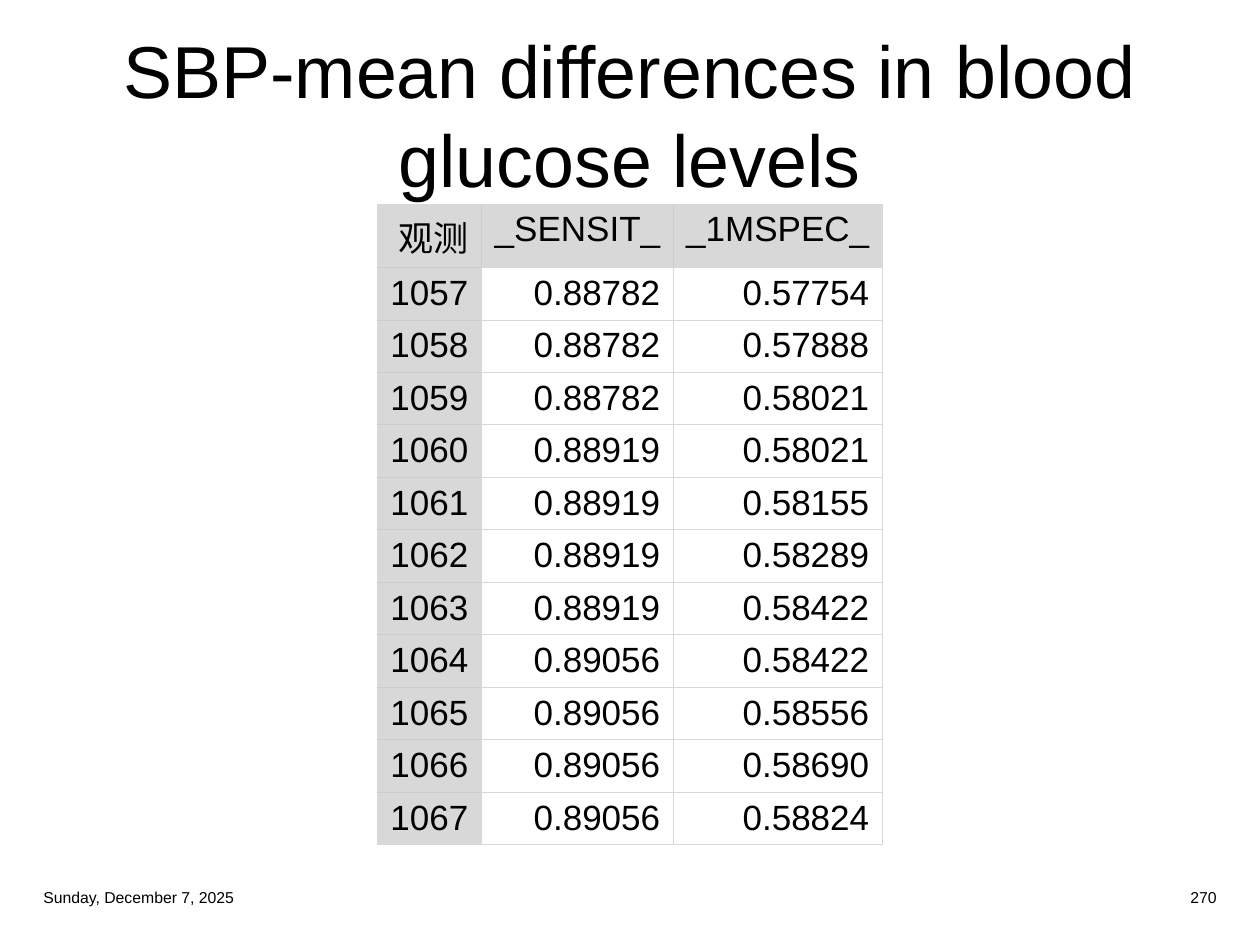
from lxml import etree
from pptx import Presentation
from pptx.dml.color import RGBColor
from pptx.enum.text import MSO_ANCHOR, MSO_AUTO_SIZE, PP_ALIGN
from pptx.oxml.ns import qn
from pptx.util import Emu, Pt

LEFT, CENTER, RIGHT = PP_ALIGN.LEFT, PP_ALIGN.CENTER, PP_ALIGN.RIGHT
MIDDLE, TOP = MSO_ANCHOR.MIDDLE, MSO_ANCHOR.TOP
NO_AUTOFIT = MSO_AUTO_SIZE.NONE
EMU_PER_PX = 914400 / 126
TITLE_ONLY = 5
COLORS = {"text": "000000", "label": "D8D8D8", "value": "FFFFFF",
          "outer": "D8D8D8", "inner": "CCCCCC"}
COLUMN_WIDTHS = [104, 192, 209]
HEADINGS = ["观测", "_SENSIT_", "_1MSPEC_"]
FIRST_OBSERVATION = 1057
SENSITIVITIES = ["0.88782"] * 3 + ["0.88919"] * 4 + ["0.89056"] * 4
SPECIFICITIES = ["0.57754", "0.57888", "0.58021", "0.58021", "0.58155", "0.58289",
                 "0.58422", "0.58422", "0.58556", "0.58690", "0.58824"]


def px(length):
    """Convert pixels to EMU."""
    return Emu(round(length * EMU_PER_PX))


def color(key):
    """Return the named color."""
    return RGBColor.from_string(COLORS[key])


def write(frame, text, size, align):
    """Fill a text frame with one formatted paragraph."""
    frame.text = text
    paragraph = frame.paragraphs[0]
    paragraph.alignment = align
    paragraph.font.size = Pt(size)
    paragraph.font.name = "Arial"
    paragraph.font.color.rgb = color("text")


def add_title(slide, box, text):
    """Place the title placeholder in its box."""
    title = slide.shapes.title
    title.left, title.top, title.width, title.height = map(px, box)
    title.text_frame.word_wrap = True
    title.text_frame.auto_size = NO_AUTOFIT
    title.text_frame.vertical_anchor = MIDDLE
    write(title.text_frame, text, 42, CENTER)


def set_borders(cell, edges):
    """Draw half-point cell borders, given as a color key per edge tag."""
    properties = cell._tc.get_or_add_tcPr()
    for position, (tag, key) in enumerate(edges.items()):
        line = etree.Element(qn(f"a:{tag}"), w=str(Pt(0.5)))
        fill = etree.SubElement(line, qn("a:solidFill"))
        etree.SubElement(fill, qn("a:srgbClr"), val=COLORS[key])
        properties.insert(position, line)


def add_observations(slide, box):
    """Place the observation table, with shaded headings and labels."""
    rows = [HEADINGS] + [
        [str(FIRST_OBSERVATION + index), *pair]
        for index, pair in enumerate(zip(SENSITIVITIES, SPECIFICITIES))]
    last_row, last_column = len(rows) - 1, len(HEADINGS) - 1
    table = slide.shapes.add_table(len(rows), len(HEADINGS), *map(px, box)).table
    table.first_row = table.horz_banding = False
    for column, width in zip(table.columns, COLUMN_WIDTHS):
        column.width = px(width)
    for r, values in enumerate(rows):
        table.rows[r].height = px(box[3] / len(rows))
        for c, value in enumerate(values):
            cell = table.cell(r, c)
            is_label = r == 0 or c == 0
            cell.fill.solid()
            cell.fill.fore_color.rgb = color("label" if is_label else "value")
            cell.vertical_anchor = TOP
            write(cell.text_frame, value, 20, RIGHT)
            at_edge = {"lnL": c == 0, "lnR": c == last_column,
                       "lnT": r == 0, "lnB": r == last_row}
            set_borders(cell, {
                tag: "inner" if is_label and not outside else "outer"
                for tag, outside in at_edge.items()})


def add_footer(slide, box, date, number):
    """Place the date and the slide number at the two ends of a strip."""
    left, top, width, height = box
    part_width = 300
    for x, text, align in ((left, date, LEFT),
                           (left + width - part_width, number, RIGHT)):
        part = slide.shapes.add_textbox(px(x), px(top), px(part_width), px(height))
        part.text_frame.word_wrap = True
        part.text_frame.vertical_anchor = MIDDLE
        write(part.text_frame, text, 9, align)


def main():
    """Build and save the slide."""
    presentation = Presentation()
    presentation.slide_width, presentation.slide_height = px(1260), px(945)
    slide = presentation.slides.add_slide(presentation.slide_layouts[TITLE_ONLY])
    add_title(slide, (31, 31, 1197, 165),
              "SBP-mean differences in blood\vglucose levels")
    add_observations(slide, (377, 204, sum(COLUMN_WIDTHS), 630))
    add_footer(slide, (31, 881, 1198, 33), "Sunday, December 7, 2025", "270")
    presentation.save("out.pptx")


if __name__ == "__main__":
    main()
